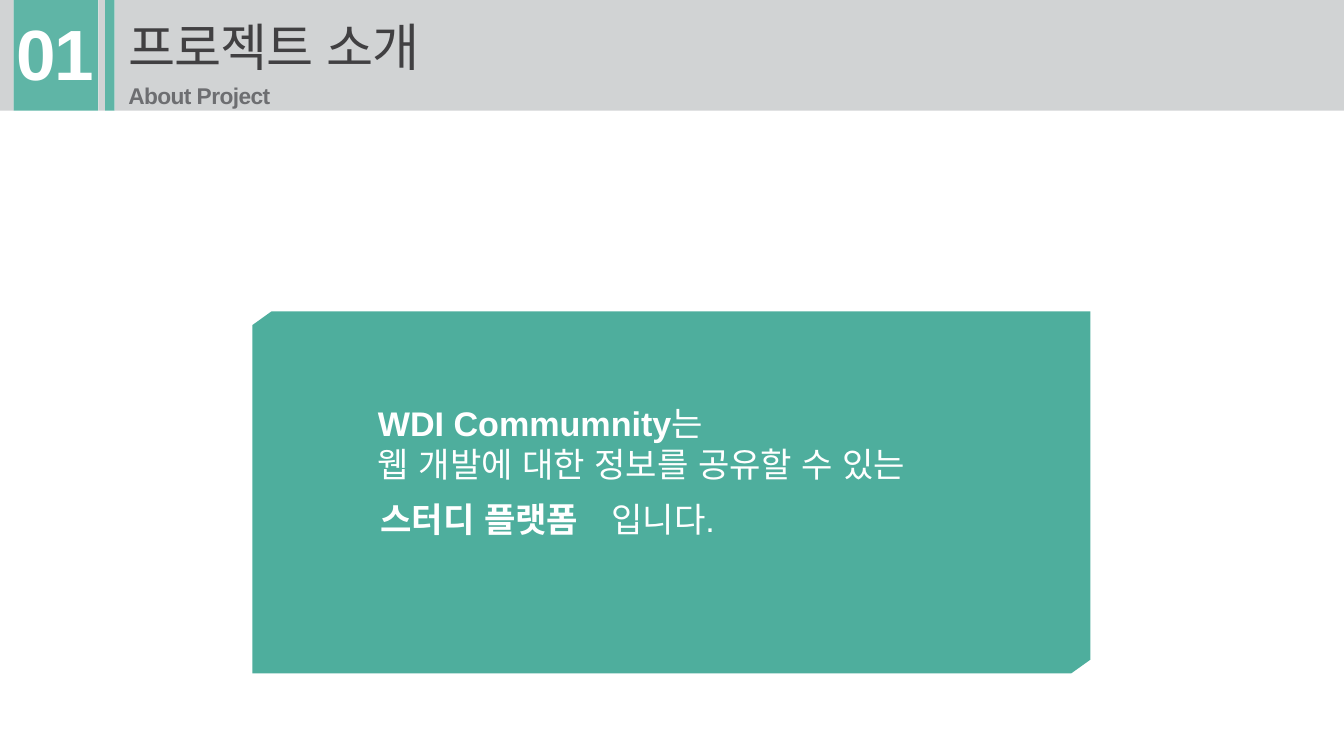
import pptx
import pptx.dml.color
import pptx.enum.shapes
import pptx.util
from lxml import etree
from pptx.util import Inches

TEAL, GRAY, WHITE = "4EAE9D", "D1D3D4", "FFFFFF"
HANGUL_FONT = "Noto Sans CJK JP"


def color(hex_value):
    return pptx.dml.color.RGBColor.from_string(hex_value)


def paint(shape, fill, opacity=100):
    shape.shadow.inherit = False
    shape.fill.solid()
    shape.fill.fore_color.rgb = color(fill)
    shape.line.fill.background()
    if opacity < 100:
        tint = shape.fill._xPr.find(".//" + pptx.oxml.ns.qn("a:srgbClr"))
        etree.SubElement(tint, pptx.oxml.ns.qn("a:alpha"), val=str(opacity * 1000))


def add_bar(slide, left, top, width, height, fill, opacity=100):
    bar = slide.shapes.add_shape(
        pptx.enum.shapes.MSO_SHAPE.RECTANGLE,
        Inches(left), Inches(top), Inches(width), Inches(height))
    paint(bar, fill, opacity)


def add_text_box(slide, left, top, width, height, inset_top=None, wrap=True):
    """Return a text frame; giving inset_top sets the other insets to zero."""
    frame = slide.shapes.add_textbox(
        Inches(left), Inches(top), Inches(width), Inches(height)).text_frame
    frame.word_wrap = wrap
    if inset_top is not None:
        frame.margin_left = frame.margin_right = frame.margin_bottom = 0
        frame.margin_top = Inches(inset_top)
    return frame


def write(paragraph, text, size=18, hue=WHITE, font="Arial", bold=False, spacing=0):
    run = paragraph.add_run()
    run.text = text
    run.font.size = pptx.util.Pt(size)
    run.font.name = font
    run.font.bold = bold
    run.font.color.rgb = color(hue)
    etree.SubElement(run.font._element, pptx.oxml.ns.qn("a:ea"), typeface="Arial")
    if spacing:
        run.font._element.set("spc", str(round(spacing * 100)))


def add_header(slide, left, top, width, height):
    bands = [(0.1, GRAY, 100), (0.62, TEAL, 90), (0.05, GRAY, 100),
             (0.07, TEAL, 90), (width - 0.84, GRAY, 100)]
    x = left
    for band_width, fill, opacity in bands:
        add_bar(slide, x, top, band_width, height, fill, opacity)
        x += band_width

    number = add_text_box(slide, left + 0.12, top + 0.05, 0.6, 0.66, inset_top=0.02)
    write(number.paragraphs[0], "01", size=37.5, bold=True, spacing=-0.8)

    heading = add_text_box(slide, left + 0.94, top, 2.41, height, inset_top=0.11)
    write(heading.paragraphs[0], "프로젝트 소개", size=27, hue="414042",
          font=HANGUL_FONT, spacing=-0.5)
    subtitle = heading.add_paragraph()
    subtitle.space_before = pptx.util.Pt(3)
    write(subtitle, "About Project", size=12, hue="6D6E71", bold=True, spacing=-0.3)


def add_summary(slide, left, top, width, height):
    right, bottom = left + width, top + height
    cut_x, cut_y = 0.14, 0.1
    outline = [(right, top), (left + cut_x, top), (left, top + cut_y),
               (left, bottom), (right - cut_x, bottom), (right, bottom - cut_y)]
    points = [(Inches(x), Inches(y)) for x, y in outline]
    builder = slide.shapes.build_freeform(*points[0])
    builder.add_line_segments(points[1:], close=True)
    paint(builder.convert_to_shape(), TEAL)

    intro = add_text_box(slide, left + 0.82, top + 0.62, 4.58, 0.71).paragraphs[0]
    write(intro, "WDI Commumnity", bold=True)
    write(intro, "는")
    intro.add_line_break()
    write(intro, "웹 개발에 대한 정보를 공유할 수 있는")

    closing = [(0.84, 1.9, "스터디 플랫폼", True), (2.53, 1.02, "입니다.", False)]
    for offset, box_width, text, bold in closing:
        frame = add_text_box(slide, left + offset, top + 1.32, box_width, 0.4, wrap=False)
        write(frame.paragraphs[0], text, bold=bold)


def main():
    deck = pptx.Presentation()
    deck.slide_width, deck.slide_height = pptx.util.Pt(709), pptx.util.Pt(397)
    slide = deck.slides.add_slide(deck.slide_layouts[6])
    add_header(slide, 0, 0, 9.85, 0.81)
    add_summary(slide, 1.85, 2.28, 6.14, 2.65)
    deck.save("out.pptx")


if __name__ == "__main__":
    main()
